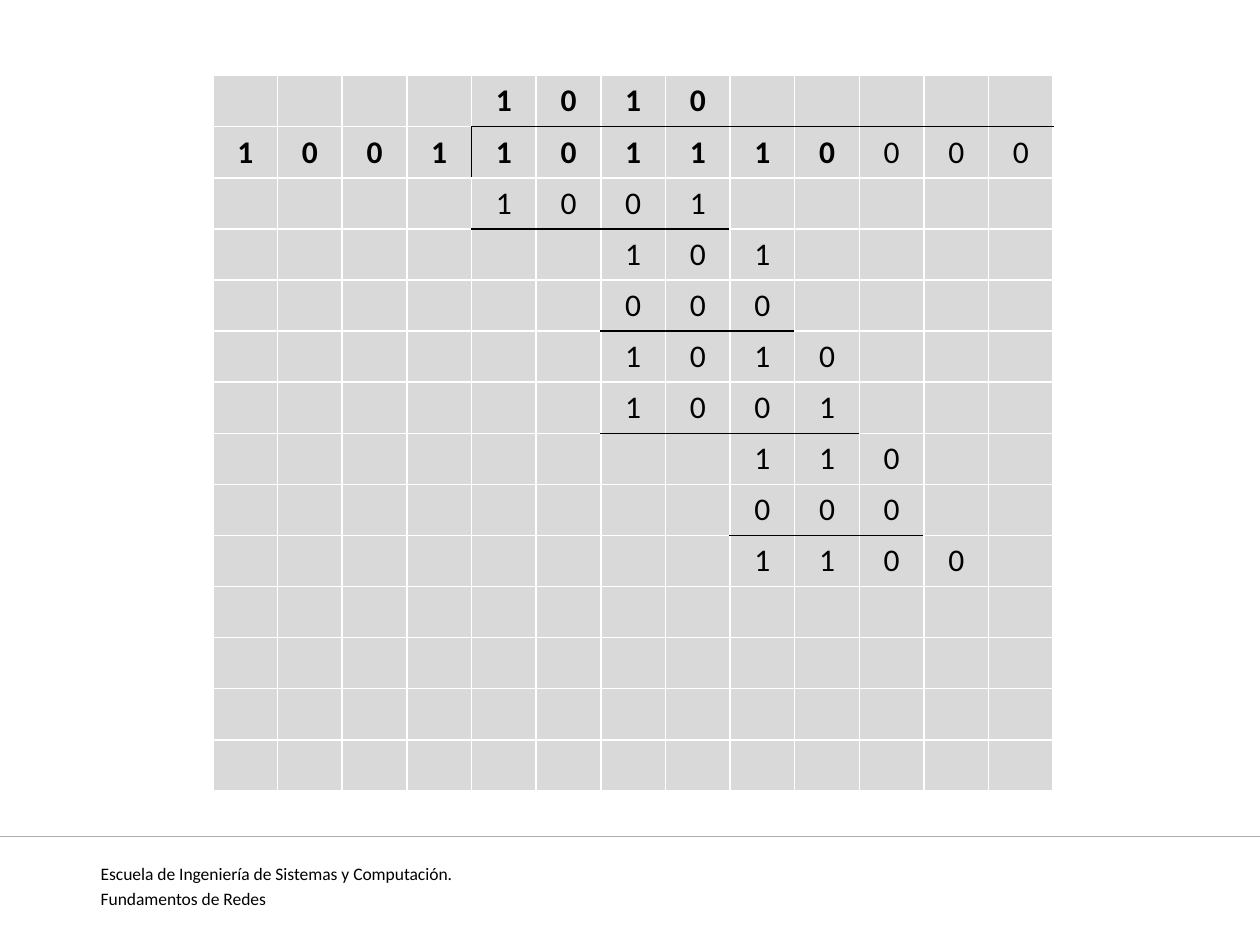
from lxml.etree import SubElement
from pptx import Presentation
from pptx.dml.color import RGBColor
from pptx.enum.shapes import MSO_CONNECTOR
from pptx.enum.text import PP_ALIGN
from pptx.oxml.ns import qn
from pptx.util import Inches, Pt

BLACK = RGBColor(0x00, 0x00, 0x00)
WHITE = RGBColor(0xFF, 0xFF, 0xFF)
CELL_GRAY = RGBColor(0xD9, 0xD9, 0xD9)
LINE_GRAY = RGBColor(0xAE, 0xAE, 0xAE)
ROWS, COLUMNS = 14, 13
TABLE_WIDTH, TABLE_HEIGHT = 6.67, 5.68


def write_text(paragraph, text, size=18, bold=False, align=PP_ALIGN.CENTER, space_before=0):
    paragraph.alignment = align
    paragraph.space_before = Pt(space_before)
    run = paragraph.add_run()
    run.text = text
    run.font.name = "Calibri"
    run.font.size = Pt(size)
    run.font.bold = bold
    run.font.color.rgb = BLACK


def add_border(cell, side, color):
    line = SubElement(cell._tc.get_or_add_tcPr(), qn(f"a:ln{side}"), w=str(Pt(1)))
    fill = SubElement(line, qn("a:solidFill"))
    SubElement(fill, qn("a:srgbClr"), val=str(color))


presentation = Presentation()
presentation.slide_width = Inches(10)
presentation.slide_height = Inches(7.5)
slide = presentation.slides.add_slide(presentation.slide_layouts[6])

footer = slide.shapes.add_textbox(Inches(0.7), Inches(6.8), Inches(8.98), Inches(0.39))
footer.text_frame.word_wrap = True
footer_lines = ["Escuela de Ingeniería de Sistemas y Computación.", "Fundamentos de Redes"]
for index, text in enumerate(footer_lines):
    paragraph = footer.text_frame.add_paragraph() if index else footer.text_frame.paragraphs[0]
    write_text(paragraph, text, size=10, align=PP_ALIGN.JUSTIFY, space_before=2)

footer_rule = slide.shapes.add_connector(
    MSO_CONNECTOR.STRAIGHT, Inches(0), Inches(6.64), Inches(10), Inches(6.64)
)
footer_rule.line.color.rgb = LINE_GRAY
footer_rule.line.width = Pt(0.75)
SubElement(footer_rule._element.spPr, qn("a:effectLst"))

division_steps = [
    (4, "1010"),
    (0, "1001101110000"),
    (4, "1001"),
    (6, "101"),
    (6, "000"),
    (6, "1010"),
    (6, "1001"),
    (8, "110"),
    (8, "000"),
    (8, "1100"),
]
bold_columns = {0: range(4, 8), 1: range(10)}
underlined_columns = {
    0: range(4, 13),
    2: range(4, 8),
    4: range(6, 9),
    6: range(6, 10),
    8: range(8, 11),
}

table = slide.shapes.add_table(
    ROWS, COLUMNS, Inches(1.69), Inches(0.6), Inches(TABLE_WIDTH), Inches(TABLE_HEIGHT)
).table
table.first_row = False
table.horz_banding = False
for column in table.columns:
    column.width = Inches(TABLE_WIDTH / COLUMNS)
for row in table.rows:
    row.height = Inches(TABLE_HEIGHT / ROWS)

for row in range(ROWS):
    for column in range(COLUMNS):
        cell = table.cell(row, column)
        black_sides = {
            "L": (row, column) == (1, 4),
            "R": (row, column) == (1, 3),
            "T": column in underlined_columns.get(row - 1, ()),
            "B": column in underlined_columns.get(row, ()),
        }
        for side, is_black in black_sides.items():
            add_border(cell, side, BLACK if is_black else WHITE)
        cell.fill.solid()
        cell.fill.fore_color.rgb = CELL_GRAY

for row, (start, digits) in enumerate(division_steps):
    for column, digit in enumerate(digits, start):
        paragraph = table.cell(row, column).text_frame.paragraphs[0]
        write_text(paragraph, digit, bold=column in bold_columns.get(row, ()))

presentation.save("out.pptx")
